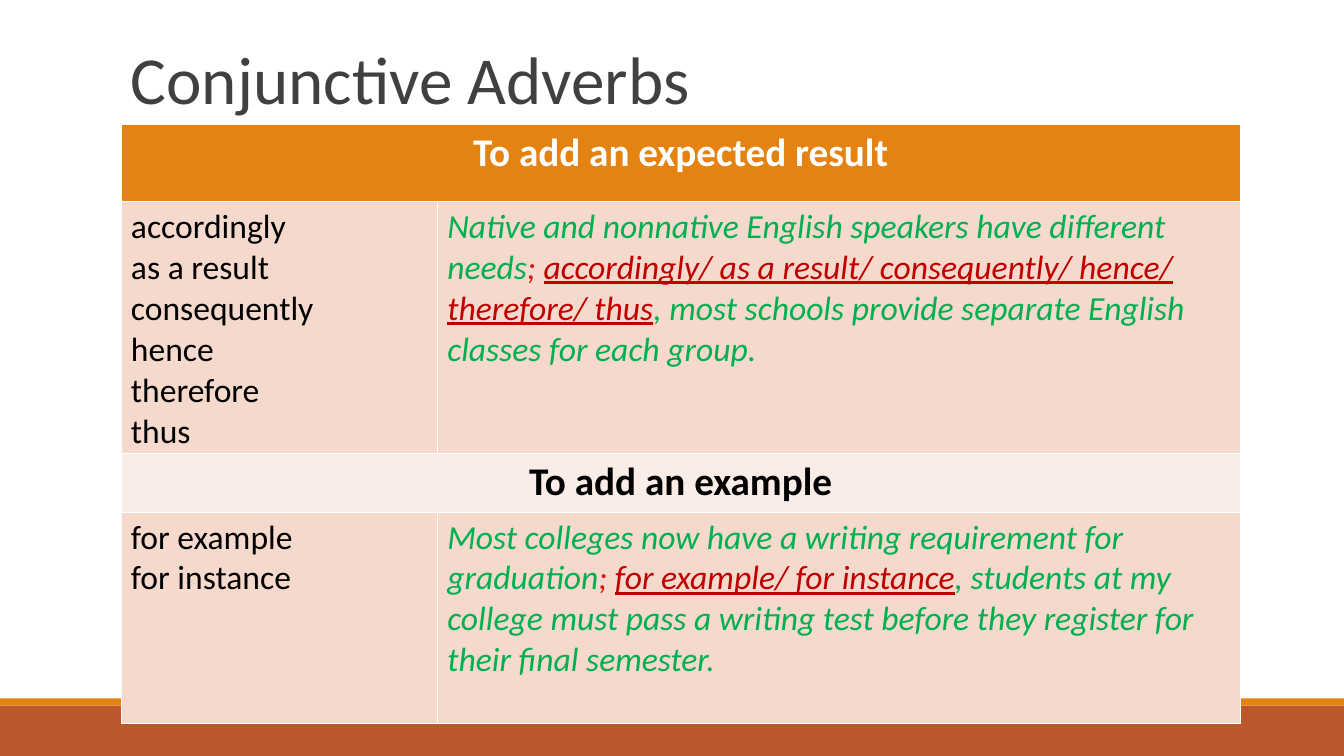
import pptx
import pptx.util
import pptx.dml.color
import pptx.enum.shapes
import pptx.enum.text
import pptx.oxml
import pptx.oxml.ns

ORANGE, RUST = "E48312", "BD582C"
ROSE, BLUSH, WHITE, BLACK = "F5D9CC", "FAEDE7", "FFFFFF", "000000"
GREEN, RED, DARK = "00B050", "C00000", "404040"
COLS, ROWS = 133.4, 75


def color(code):
    """Turn a hex string into a colour."""
    return pptx.dml.color.RGBColor.from_string(code)


def write(par, text, size=24, code=BLACK, bold=False, slant=False, under=False):
    """Add one formatted run to a paragraph."""
    run = par.add_run()
    run.text = text
    font = run.font
    font.name, font.size = "Calibri", pptx.util.Pt(size)
    font.bold, font.italic, font.underline = bold, slant, under
    font.color.rgb = color(code)


class Page:
    """Hold the slide and its grid, and draw each kind of element."""

    def __init__(self, deck):
        """Add a blank slide and measure its grid."""
        self.slide = deck.slides.add_slide(deck.slide_layouts[6])
        self.wide = deck.slide_width / COLS
        self.high = deck.slide_height / ROWS

    def box(self, col, row, width, height):
        """Convert grid units to slide lengths."""
        return (round(col * self.wide), round(row * self.high),
                round(width * self.wide), round(height * self.high))

    def band(self, row, height, code):
        """Draw a band across the slide."""
        band = self.slide.shapes.add_shape(
            pptx.enum.shapes.MSO_SHAPE.RECTANGLE, *self.box(0, row, COLS, height))
        band.shadow.inherit = False
        band.fill.solid()
        band.fill.fore_color.rgb = color(code)
        band.line.fill.background()

    def title(self, text, *place):
        """Draw the slide title."""
        frame = self.slide.shapes.add_textbox(*self.box(*place)).text_frame
        frame.word_wrap = True
        frame.vertical_anchor = pptx.enum.text.MSO_ANCHOR.BOTTOM
        par = frame.paragraphs[0]
        par.line_spacing = 0.85
        write(par, text, size=48, code=DARK)

    def table(self, col, row, widths, heights):
        """Draw an empty table with the given columns and rows."""
        place = self.box(col, row, sum(widths), sum(heights))
        table = self.slide.shapes.add_table(len(heights), len(widths), *place).table
        for part, width in zip(table.columns, widths):
            part.width = round(width * self.wide)
        for part, height in zip(table.rows, heights):
            part.height = round(height * self.high)
        return table

    def paint(self, cell, code, top=0.45, base=0.45):
        """Give a cell its borders and fill."""
        props = cell._tc.get_or_add_tcPr()
        for side, width in zip("LRTB", (0.45, 0.45, top, base)):
            props.append(pptx.oxml.parse_xml(
                f'<a:ln{side} {pptx.oxml.ns.nsdecls("a")} w="{pptx.util.Pt(width)}">'
                f'<a:solidFill><a:srgbClr val="{WHITE}"/></a:solidFill></a:ln{side}>'))
        cell.fill.solid()
        cell.fill.fore_color.rgb = color(code)

    def header(self, cells, text, fill, code, base=0.45):
        """Fill a row with one centred heading."""
        for cell in cells:
            self.paint(cell, fill, base=base)
        cells[0].merge(cells[-1])
        par = cells[0].text_frame.paragraphs[0]
        par.alignment = pptx.enum.text.PP_ALIGN.CENTER
        write(par, text, size=28, code=code, bold=True)

    def sample(self, cells, words, start, end, top=0.45):
        """Fill a row with a word list and a sentence that uses it."""
        for cell in cells:
            self.paint(cell, ROSE, top=top)
        frame = cells[0].text_frame
        for spot, word in enumerate(words):
            par = frame.add_paragraph() if spot else frame.paragraphs[0]
            write(par, word)
        par = cells[1].text_frame.paragraphs[0]
        write(par, start, code=GREEN, slant=True)
        write(par, "; ", code="D61914", slant=True)
        write(par, "/ ".join(words), code=RED, slant=True, under=True)
        write(par, end, code=GREEN, slant=True)


def main():
    """Build and save the slide."""
    deck = pptx.Presentation()
    deck.slide_width = pptx.util.Inches(13.34)
    deck.slide_height = pptx.util.Inches(7.5)
    page = Page(deck)
    page.band(70, 5, RUST)
    page.band(69.3, 0.7, ORANGE)
    page.title("Conjunctive Adverbs", 12, 3.1, 110, 9.1)
    table = page.table(12, 12.3, (31.4, 79.7), (7.7, 25, 5.8, 21))
    rows = [row.cells for row in table.rows]
    rows = [[cells[0], cells[1]] for cells in rows]
    page.header(rows[0], "To add an expected result", ORANGE, WHITE, base=1.47)
    page.sample(
        rows[1],
        ("accordingly", "as a result", "consequently", "hence", "therefore", "thus"),
        "Native and nonnative English speakers have different needs",
        ", most schools provide separate English classes for each group.",
        top=1.47)
    page.header(rows[2], "To add an example", BLUSH, BLACK)
    page.sample(
        rows[3],
        ("for example", "for instance"),
        "Most colleges now have a writing requirement for graduation",
        ", students at my college must pass a writing test before they register"
        " for their final semester.")
    deck.save("out.pptx")


if __name__ == "__main__":
    main()
